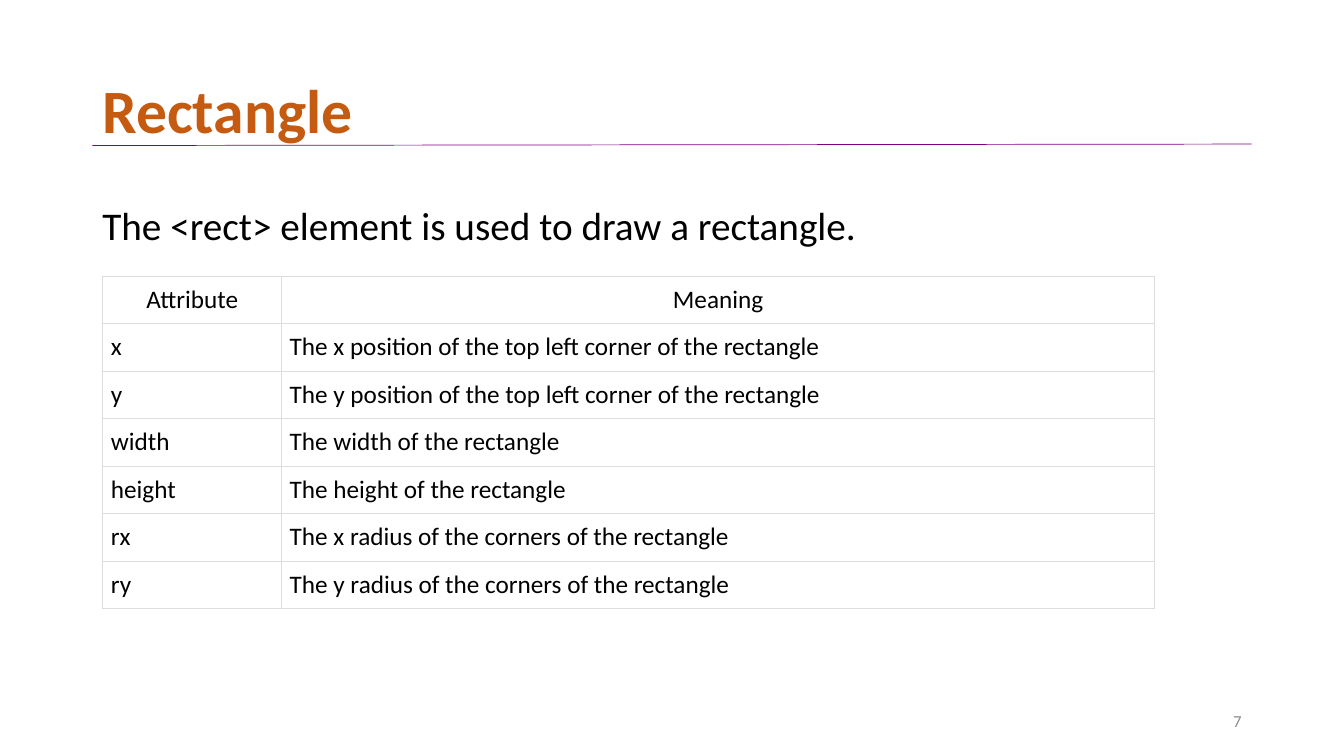
from dataclasses import dataclass

from lxml.etree import SubElement
from pptx import Presentation
from pptx.dml.color import RGBColor as RGB
from pptx.enum.shapes import MSO_CONNECTOR as Conn
from pptx.enum.text import MSO_ANCHOR as Anchor, MSO_AUTO_SIZE as Fit, PP_ALIGN as Align
from pptx.oxml import parse_xml
from pptx.oxml.ns import nsdecls, qn
from pptx.util import Inches, Pt

COLS, ROWS = 160, 90
W, H = Inches(13.33), Inches(7.5)


@dataclass(frozen=True)
class Theme:
    """Colours, font and type sizes of the slide."""
    font: str = "Calibri"
    accent: str = "C55A11"
    text: str = "000000"
    muted: str = "8C8C8C"
    rule: str = "800080"
    border: str = "DDDDDD"
    title: int = 44
    lead: int = 28
    cell: int = 18
    number: int = 12
    rule_width: float = 0.5
    border_width: float = 0.75


@dataclass(frozen=True)
class Box:
    """A region in columns and rows of the slide grid."""
    x: float
    y: float
    w: float
    h: float

    def emu(self):
        """Return left, top, width and height as lengths."""
        return (int(self.x * W / COLS), int(self.y * H / ROWS),
                int(self.w * W / COLS), int(self.h * H / ROWS))


T = Theme()
ATTRIBUTES = [
    ("Attribute", "Meaning"),
    ("x", "The x position of the top left corner of the rectangle"),
    ("y", "The y position of the top left corner of the rectangle"),
    ("width", "The width of the rectangle"),
    ("height", "The height of the rectangle"),
    ("rx", "The x radius of the corners of the rectangle"),
    ("ry", "The y radius of the corners of the rectangle"),
]


def write(tf, text, size, color, align=Align.LEFT, bold=False):
    """Add one styled run to the first paragraph and return the paragraph."""
    p = tf.paragraphs[0]
    p.alignment = align
    r = p.add_run()
    r.text = text
    r.font.name, r.font.size, r.font.bold = T.font, Pt(size), bold
    r.font.color.rgb = RGB.from_string(color)
    return p


def add_title(s, box, text):
    """Place the title and the rule that runs beneath it."""
    sp = s.shapes.title
    sp.left, sp.top, sp.width, sp.height = left, top, width, height = box.emu()
    tf = sp.text_frame
    tf.auto_size, tf.vertical_anchor = Fit.NONE, Anchor.MIDDLE
    write(tf, text, T.title, T.accent, bold=True).line_spacing = 0.9
    rule = s.shapes.add_connector(Conn.STRAIGHT, left, top + int(height * 0.72),
                                  left + width, top + int(height * 0.71))
    rule.line.color.rgb = RGB.from_string(T.rule)
    rule.line.width = Pt(T.rule_width)
    SubElement(rule.element.spPr, qn("a:effectLst"))
    sp.element.addprevious(rule.element)


def add_text(s, box, text, size, color, align=Align.LEFT, anchor=Anchor.TOP):
    """Add a wrapped text box and return its paragraph."""
    tf = s.shapes.add_textbox(*box.emu()).text_frame
    tf.word_wrap, tf.vertical_anchor = True, anchor
    return write(tf, text, size, color, align)


def add_borders(cell):
    """Draw a thin line on each side of a cell."""
    tc_pr = cell._tc.get_or_add_tcPr()
    for i, side in enumerate("LRTB"):
        tc_pr.insert(i, parse_xml(
            f'<a:ln{side} {nsdecls("a")} w="{Pt(T.border_width)}"><a:solidFill>'
            f'<a:srgbClr val="{T.border}"/></a:solidFill></a:ln{side}>'))


def add_attribute_table(s, box, rows, first_share):
    """Fill the box with a bordered two-column table under a centred header."""
    left, top, width, height = box.emu()
    table = s.shapes.add_table(len(rows), 2, left, top, width, height).table
    table.first_row = table.horz_banding = False
    for col, share in zip(table.columns, (first_share, 1 - first_share)):
        col.width = int(width * share)
    for i, row in enumerate(rows):
        for j, text in enumerate(row):
            cell = table.cell(i, j)
            cell.fill.background()
            cell.margin_left = cell.margin_right = Inches(0.08)
            cell.margin_top = cell.margin_bottom = Inches(0.08)
            write(cell.text_frame, text, T.cell, T.text,
                  Align.LEFT if i else Align.CENTER)
            add_borders(cell)


def add_element_slide(prs):
    """Build the slide that explains the rectangle element."""
    s = prs.slides.add_slide(prs.slide_layouts[5])
    add_title(s, Box(11, 4.8, 138, 17.4), "Rectangle")
    lead = add_text(s, Box(11, 24, 138, 57), "The <rect> element is used to draw a rectangle.",
                    T.lead, T.text)
    lead.line_spacing, lead.space_before = 0.9, Pt(10)
    add_text(s, Box(113, 83.4, 36, 4.8), "7", T.number, T.muted, Align.RIGHT, Anchor.MIDDLE)
    add_attribute_table(s, Box(12.25, 32.9, 125.2, 39.6), ATTRIBUTES, 0.17)


def main():
    """Create and save the presentation."""
    prs = Presentation()
    prs.slide_width, prs.slide_height = W, H
    add_element_slide(prs)
    prs.save("out.pptx")


if __name__ == "__main__":
    main()
